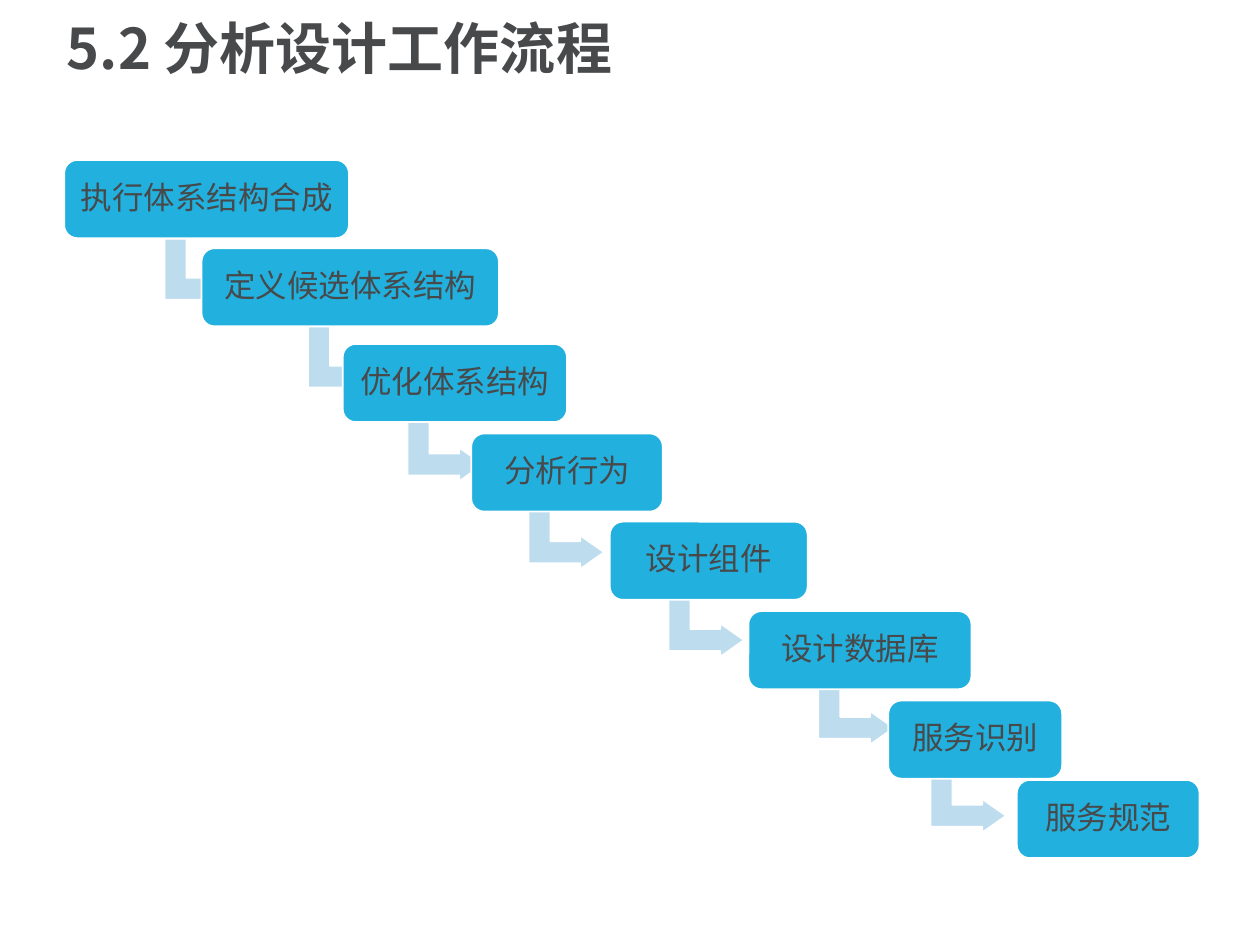
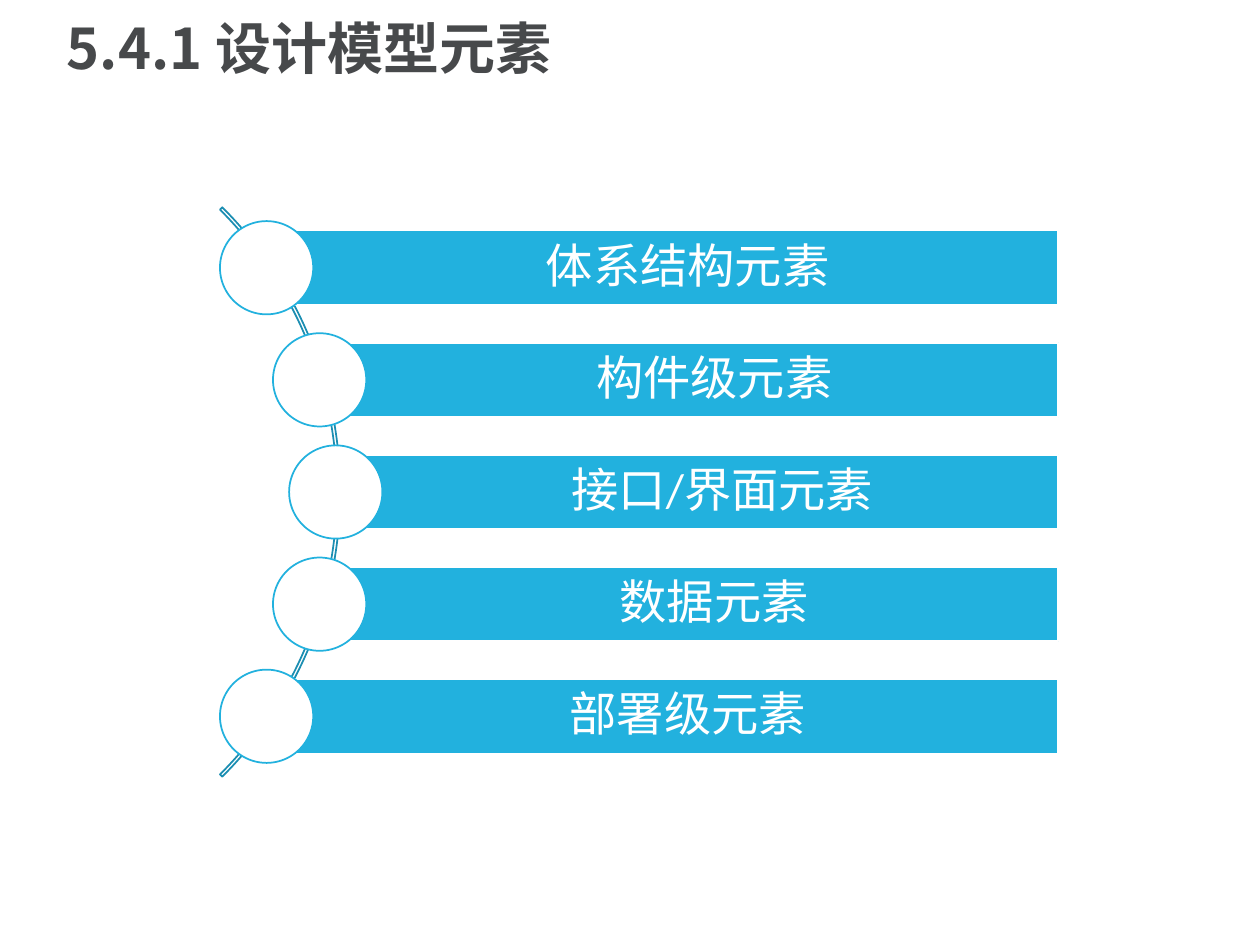
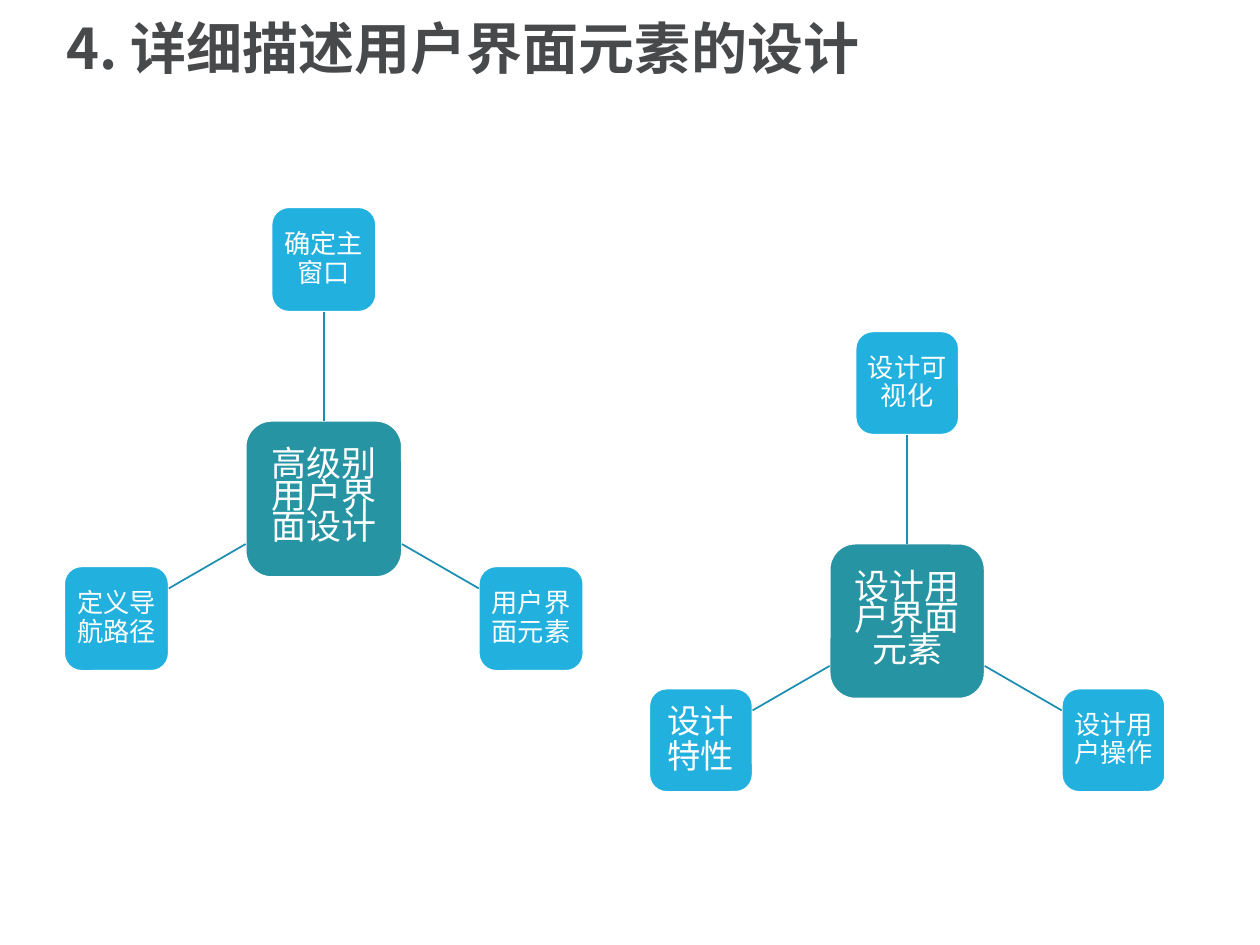
"""Build three slides on the analysis and design workflow."""
from math import cos, radians, sin, sqrt

from lxml import etree
from pptx import Presentation
from pptx.dml.color import RGBColor
from pptx.enum.lang import MSO_LANGUAGE_ID
from pptx.enum.shapes import MSO_CONNECTOR, MSO_SHAPE
from pptx.enum.text import MSO_ANCHOR, MSO_AUTO_SIZE, PP_ALIGN
from pptx.oxml.ns import qn
from pptx.util import Inches, Pt

INK = RGBColor(0x47, 0x49, 0x4B)
BLUE = RGBColor(0x22, 0xB1, 0xDE)
PALE = RGBColor(0xBD, 0xDD, 0xEF)
TEAL = RGBColor(0x27, 0x94, 0xA4)
LINE = RGBColor(0x1B, 0x8E, 0xB2)
WHITE = RGBColor(0xFF, 0xFF, 0xFF)
NOTO, CALIBRI = "Noto Sans CJK SC", "Calibri"

WORKFLOW_TITLE = "5.2 分析设计工作流程"
# text, left, top, width, left of the arrow that follows
WORKFLOW = [
    ("执行体系结构合成", 0.51, 1.27, 2.26, 1.34),
    ("定义候选体系结构", 1.6, 1.97, 2.36, 2.48),
    ("优化体系结构", 2.72, 2.73, 1.78, 3.27),
    ("分析行为", 3.74, 3.44, 1.52, 4.23),
    ("设计组件", 4.84, 4.14, 1.57, 5.34),
    ("设计数据库", 5.94, 4.85, 1.77, 6.53),
    ("服务识别", 7.05, 5.56, 1.38, 7.42),
    ("服务规范", 8.07, 6.19, 1.45, None),
]
ELEMENTS_TITLE = "5.4.1 设计模型元素"
ELEMENTS = ["体系结构元素", "构件级元素", "接口/界面元素", "数据元素", "部署级元素"]

INTERFACE_TITLE = "4. 详细描述用户界面元素的设计"
ANGLES = [-90, 30, 150]
HUBS = [
    dict(text="高级别用户界面设计", x=2.57, y=3.96, size=1.24, node=0.83, reach=1.9,
         nodes=[("确定主窗口", 15), ("用户界面元素", 15), ("定义导航路径", 15)]),
    dict(text="设计用户界面元素", x=7.2, y=4.93, size=1.23, node=0.82, reach=1.89,
         nodes=[("设计可视化", 15), ("设计用户操作", 15), ("设计特性", 19)]),
]


def style_text(tf, text, size, color, font, align=PP_ALIGN.CENTER, spacing=0.9, bold=False):
    """Write one paragraph and format its run."""
    tf.text = text
    tf.word_wrap = True
    tf.auto_size = MSO_AUTO_SIZE.NONE
    tf.vertical_anchor = MSO_ANCHOR.MIDDLE
    p = tf.paragraphs[0]
    p.alignment, p.line_spacing = align, spacing
    r = p.runs[0]
    r.font.size, r.font.bold, r.font.name = Pt(size), bold, font
    r.font.color.rgb = color
    r.font.language_id = MSO_LANGUAGE_ID.SIMPLIFIED_CHINESE
    etree.SubElement(r.font._element, qn("a:ea"), typeface=font)


def add_slide(prs, title):
    """Add a title-only slide with the shared title style."""
    s = prs.slides.add_slide(prs.slide_layouts[5])
    sp = s.shapes.title
    sp.left, sp.top, sp.width, sp.height = map(Inches, (0.43, 0.06, 9.05, 0.7))
    style_text(sp.text_frame, title, 32, INK, NOTO, PP_ALIGN.LEFT, bold=True)
    return s


def add_block(s, kind, x, y, w, h, fill, line=WHITE):
    """Add a flat preset shape; a fill of None leaves it hollow."""
    sp = s.shapes.add_shape(kind, Inches(x), Inches(y), Inches(w), Inches(h))
    sp.shadow.inherit = False
    if fill is None:
        sp.fill.background()
    else:
        sp.fill.solid()
        sp.fill.fore_color.rgb = fill
    sp.line.color.rgb = line
    sp.line.width = Pt(1)
    return sp


def set_adjustments(sp, values):
    """Set the adjustment values of a preset shape."""
    for i, value in enumerate(values):
        sp.adjustments[i] = value


def set_margins(tf, margin, left=None):
    """Set equal insets, with an optional wider left one."""
    tf.margin_right = tf.margin_top = tf.margin_bottom = Inches(margin)
    tf.margin_left = Inches(margin if left is None else left)


def add_square(s, x, y, size, fill, text, points, font, margin, spacing=0.9):
    """Add a rounded square centred on a point."""
    sp = add_block(s, MSO_SHAPE.ROUNDED_RECTANGLE, x - size / 2, y - size / 2, size, size, fill)
    set_margins(sp.text_frame, margin)
    style_text(sp.text_frame, text, points, WHITE, font, spacing=spacing)
    return sp


def build_workflow(prs):
    """Draw the stairs of steps joined by bent arrows."""
    s = add_slide(prs, WORKFLOW_TITLE)
    for i, (text, x, y, w, arrow_x) in enumerate(WORKFLOW):
        if arrow_x is not None:
            sp = add_block(s, MSO_SHAPE.BENT_UP_ARROW, arrow_x, 1.86 + 0.697 * i, 0.53, 0.6, PALE)
            sp.rotation = 90
            set_adjustments(sp, (0.328, 0.25, 0.358))
        sp = add_block(s, MSO_SHAPE.ROUNDED_RECTANGLE, x, y, w, 0.62, BLUE)
        set_margins(sp.text_frame, 0.07)
        style_text(sp.text_frame, text, 18, INK, NOTO)


def build_elements(prs):
    """Draw bars whose circles sit along an arc."""
    s = add_slide(prs, ELEMENTS_TITLE)
    arc_x, arc_y, diameter = -3.69, 0.71, 6.39
    center_x, center_y = arc_x + diameter / 2, arc_y + diameter / 2
    radius, pitch, bar_h, dot, right = 3.16, 0.89, 0.59, 0.74, 8.4
    sp = add_block(s, MSO_SHAPE.BLOCK_ARC, arc_x, arc_y, diameter, diameter, None, LINE)
    set_adjustments(sp, (189, 27, 0.004))
    for i, text in enumerate(ELEMENTS):
        dy = (i - (len(ELEMENTS) - 1) / 2) * pitch
        x, y = center_x + sqrt(radius ** 2 - dy ** 2), center_y + dy
        sp = add_block(s, MSO_SHAPE.RECTANGLE, x, y - bar_h / 2, right - x, bar_h, BLUE)
        set_margins(sp.text_frame, 0.07, left=0.47)
        style_text(sp.text_frame, text, 27, WHITE, CALIBRI)
        add_block(s, MSO_SHAPE.OVAL, x - dot / 2, y - dot / 2, dot, dot, WHITE, BLUE)


def build_interface(prs):
    """Draw two hubs, each with three nodes around it."""
    s = add_slide(prs, INTERFACE_TITLE)
    for hub in HUBS:
        x, y = hub["x"], hub["y"]
        center = add_square(s, x, y, hub["size"], TEAL, hub["text"], 20, NOTO, 0.06, 0.75)
        for angle, (text, points) in zip(ANGLES, hub["nodes"]):
            dx, dy = cos(radians(angle)), sin(radians(angle))
            longest = max(abs(dx), abs(dy))
            start = hub["size"] / 2 / longest
            end = hub["reach"] - hub["node"] / 2 / longest
            node = add_square(s, x + hub["reach"] * dx, y + hub["reach"] * dy, hub["node"],
                              BLUE, text, points, CALIBRI, 0.04)
            line = s.shapes.add_connector(
                MSO_CONNECTOR.STRAIGHT, Inches(x + start * dx), Inches(y + start * dy),
                Inches(x + end * dx), Inches(y + end * dy))
            line.line.color.rgb = LINE
            line.line.width = Pt(1)
            etree.SubElement(line._element.spPr, qn("a:effectLst"))
            if angle == -90:
                line.begin_connect(center, 0)
                line.end_connect(node, 2)


def main():
    """Build and save the presentation."""
    prs = Presentation()
    prs.slide_width, prs.slide_height = Inches(10), Inches(7.5)
    build_workflow(prs)
    build_elements(prs)
    build_interface(prs)
    prs.save("out.pptx")


if __name__ == "__main__":
    main()
